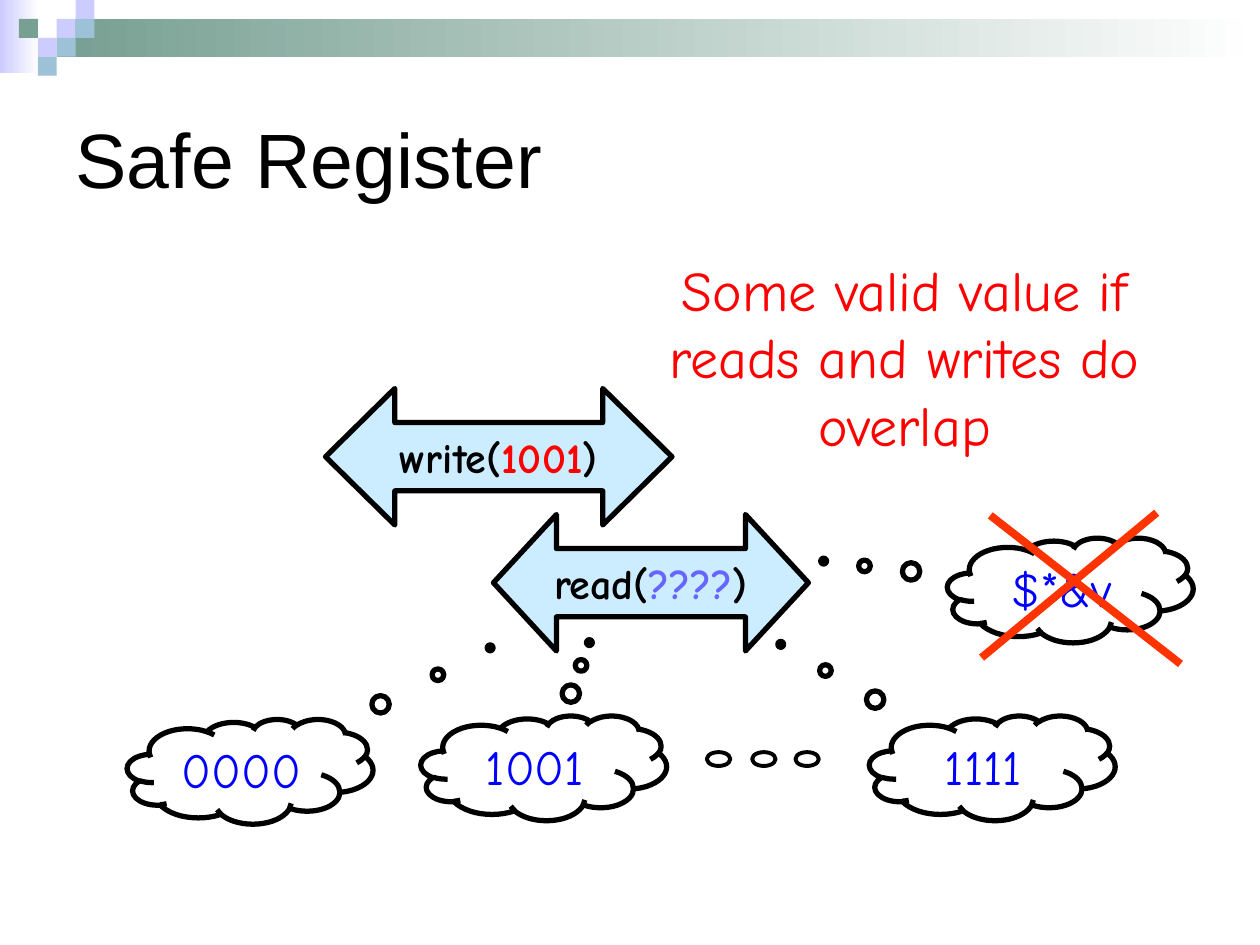
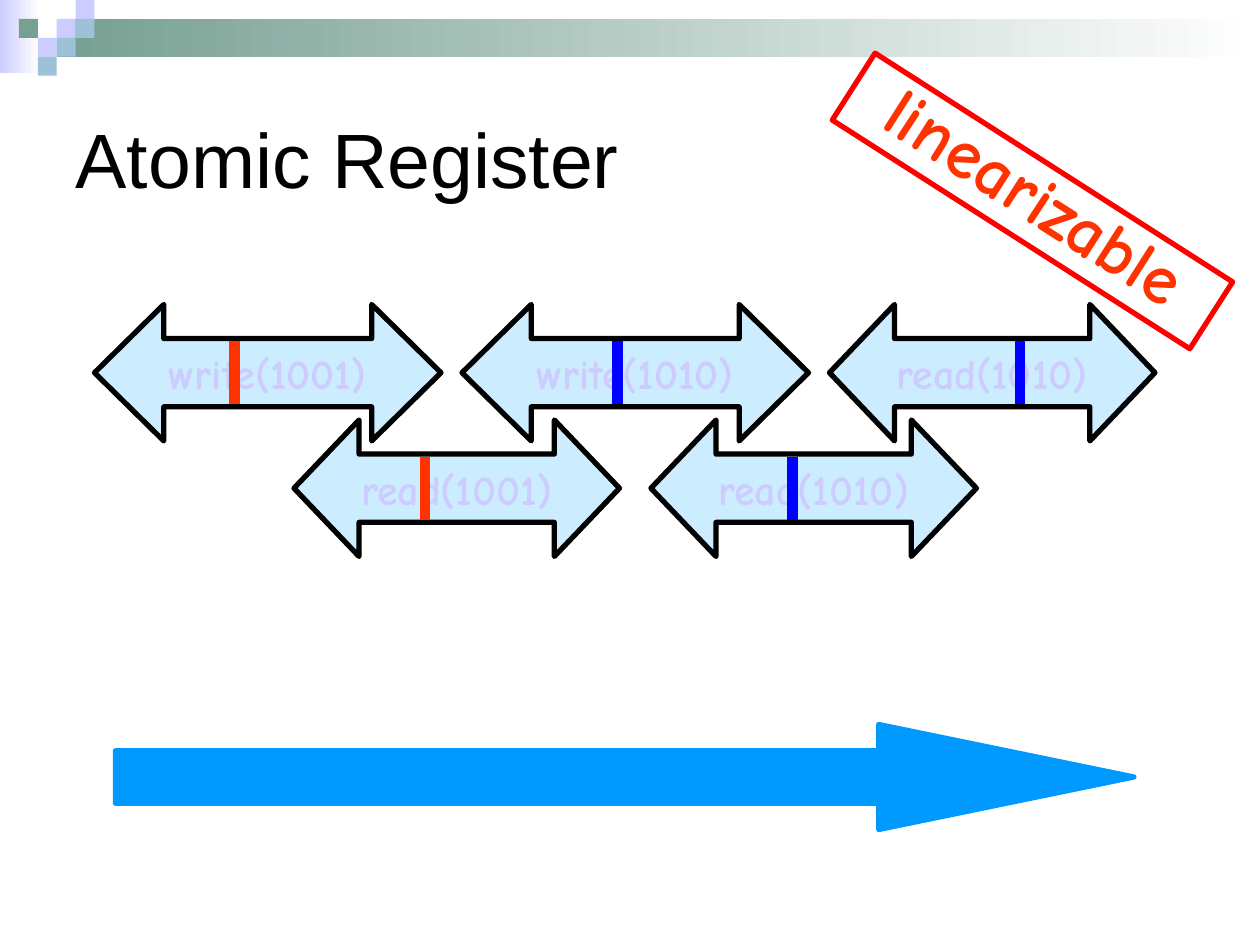
from lxml import etree
from pptx import Presentation
from pptx.dml.color import RGBColor
from pptx.enum.shapes import MSO_CONNECTOR, MSO_SHAPE
from pptx.enum.text import MSO_ANCHOR, MSO_AUTO_SIZE, PP_ALIGN
from pptx.oxml.ns import qn
from pptx.util import Pt

BLACK, WHITE, RED, BLUE = "000000", "FFFFFF", "FF0000", "0000FF"
LAVENDER, GREEN, MIST = "CCCCFF", "779F92", "9DC2D7"
ORANGE, SKY, AZURE, VIOLET = "FF3300", "CCECFF", "0099FF", "6666FF"
TITLE_FONT, HAND_FONT = "Arial", "Comic Neue"


def color(hex_string):
    return RGBColor.from_string(hex_string)


class Deck:
    ARROW_HEIGHT = 78
    HEAD_SHARE = 0.2
    TICK_HEIGHT = 36
    CLOUD_SIZE = (140.4, 59.8)
    CELL = 10.8

    def __init__(self):
        self.prs = Presentation()
        self.prs.slide_width, self.prs.slide_height = Pt(720), Pt(540)
        self.slide = None

    def add_slide(self, title):
        self.slide = self.prs.slides.add_slide(self.prs.slide_layouts[5])
        self.band()
        holder = self.slide.shapes.title
        holder.left, holder.top = Pt(36), Pt(36)
        holder.width, holder.height = Pt(648), Pt(108)
        self.set_text(holder, [(title, BLACK)], 44, font=TITLE_FONT,
                      align=PP_ALIGN.LEFT)

    def shape(self, kind, box, fill=None, line=None, weight=3, parent=None):
        shapes = (parent or self.slide).shapes
        shape = shapes.add_shape(kind, *map(Pt, box))
        shape.shadow.inherit = False
        if isinstance(fill, tuple):
            shape.fill.gradient()
            shape.fill.gradient_angle = 0
            for stop, position, tint in zip(shape.fill.gradient_stops, (0, 1), fill):
                stop.position = position
                stop.color.rgb = color(tint)
        elif fill:
            shape.fill.solid()
            shape.fill.fore_color.rgb = color(fill)
        else:
            shape.fill.background()
        if line:
            shape.line.color.rgb = color(line)
            shape.line.width = Pt(weight)
        else:
            shape.line.fill.background()
        return shape

    def set_text(self, shape, runs, size, bold=False, font=HAND_FONT,
                 align=PP_ALIGN.CENTER, anchor=MSO_ANCHOR.MIDDLE, wrap=True):
        frame = shape.text_frame
        frame.word_wrap = wrap
        frame.vertical_anchor = anchor
        paragraph = frame.paragraphs[0]
        paragraph.alignment = align
        for text, tint in runs:
            run = paragraph.add_run()
            run.text = text
            run.font.name, run.font.size, run.font.bold = font, Pt(size), bold
            run.font.color.rgb = color(tint)
        return paragraph

    def band(self):
        group = self.slide.shapes.add_group_shape()
        rect, cell = MSO_SHAPE.RECTANGLE, self.CELL
        self.shape(rect, (0, 0, 22.3, 41.8), (LAVENDER, WHITE), parent=group)
        self.shape(rect, (3 * cell, cell, 720 - 3 * cell, 2 * cell),
                   (GREEN, WHITE), parent=group)
        squares = [(3, 1, LAVENDER), (4, 0, LAVENDER), (4, 1, MIST),
                   (2, 2, LAVENDER), (1, 1, GREEN), (3, 2, MIST), (2, 3, MIST)]
        for column, row, tint in squares:
            self.shape(rect, (column * cell, row * cell, cell, cell), tint,
                       parent=group)

    def line(self, start, end, tint, weight):
        line = self.slide.shapes.add_connector(
            MSO_CONNECTOR.STRAIGHT, *map(Pt, start + end))
        line.line.color.rgb = color(tint)
        line.line.width = Pt(weight)
        etree.SubElement(line._element.spPr, qn("a:effectLst"))

    def interval(self, left, top, width, runs):
        arrow = self.shape(MSO_SHAPE.LEFT_RIGHT_ARROW,
                           (left, top, width, self.ARROW_HEIGHT), SKY, BLACK)
        arrow.adjustments[1] = self.HEAD_SHARE * width / self.ARROW_HEIGHT
        self.set_text(arrow, runs, 24, bold=True, wrap=False)

    def tick(self, x, arrow_top, tint):
        top = arrow_top + (self.ARROW_HEIGHT - self.TICK_HEIGHT) / 2
        self.line((x, top), (x, top + self.TICK_HEIGHT), tint, 6)

    def cloud(self, left, top, text, tail):
        cloud = self.shape(MSO_SHAPE.CLOUD_CALLOUT,
                           (left, top, *self.CLOUD_SIZE), WHITE, BLACK)
        cloud.adjustments[0], cloud.adjustments[1] = tail
        self.set_text(cloud, [(text, BLUE)], 28)

    def caption(self, box, text, tint, size):
        caption = self.slide.shapes.add_textbox(*map(Pt, box))
        self.set_text(caption, [(text, tint)], size, anchor=MSO_ANCHOR.TOP)
        caption.text_frame.auto_size = MSO_AUTO_SIZE.SHAPE_TO_FIT_TEXT

    def stamp(self, box, text, angle):
        stamp = self.shape(MSO_SHAPE.RECTANGLE, box, line=RED)
        stamp.rotation = angle
        paragraph = self.set_text(stamp, [(text, ORANGE)], 40, bold=True,
                                  anchor=MSO_ANCHOR.TOP)
        paragraph.line_spacing = 0.8
        paragraph.space_before = Pt(20)
        properties = paragraph._p.get_or_add_pPr()
        properties.set("marL", str(Pt(18)))
        properties.set("indent", str(Pt(-18)))
        stamp.text_frame.auto_size = MSO_AUTO_SIZE.SHAPE_TO_FIT_TEXT


deck = Deck()

deck.add_slide("Safe Register")
deck.interval(186, 222, 198, [("write(", BLACK), ("1001", RED), (")", BLACK)])
deck.caption((357.8, 142.6, 318.2, 83.5),
             "Some valid value if reads and writes do overlap", RED, 32)
deck.interval(282, 294, 180, [("read(", BLACK), ("????", VIOLET), (")", BLACK)])
for left, top, value, tail in [
    (72.7, 411, "0000", (0.977, -1.182)),
    (240.5, 409, "1001", (0.186, -1.199)),
    (496.8, 409, "1111", (-0.861, -1.182)),
    (541.4, 307.4, "$*&v", (-1.004, -0.278)),
]:
    deck.cloud(left, top, value, tail)
deck.line((560.9, 375.8), (661, 293), ORANGE, 4.5)
deck.line((674.6, 379.4), (565.9, 294.5), ORANGE, 4.5)
for left in (403.9, 429.8, 454.5):
    deck.shape(MSO_SHAPE.OVAL, (left, 429.8, 13.4, 7.9), line=BLACK, weight=2.25)

deck.add_slide("Atomic Register")
UPPER, LOWER = 174, 240
WRITE_WIDTH, READ_WIDTH = 198, 186
for left, top, width, call, tick_x, tint in [
    (54, UPPER, WRITE_WIDTH, "write(1001)", 134, ORANGE),
    (168, LOWER, READ_WIDTH, "read(1001)", 242.8, ORANGE),
    (264, UPPER, WRITE_WIDTH, "write(1010)", 352.8, BLUE),
    (372, LOWER, READ_WIDTH, "read(1010)", 452.8, BLUE),
    (474, UPPER, READ_WIDTH, "read(1010)", 583, BLUE),
]:
    deck.interval(left, top, width, [(call, LAVENDER)])
    deck.tick(tick_x, top, tint)
timeline = deck.shape(MSO_SHAPE.RIGHT_ARROW, (66, 414, 582, 60), AZURE, AZURE)
timeline.adjustments[1] = 2.43
deck.stamp((468.7, 92.2, 242.6, 45.4), "linearizable", 32.6)

deck.prs.save("out.pptx")
